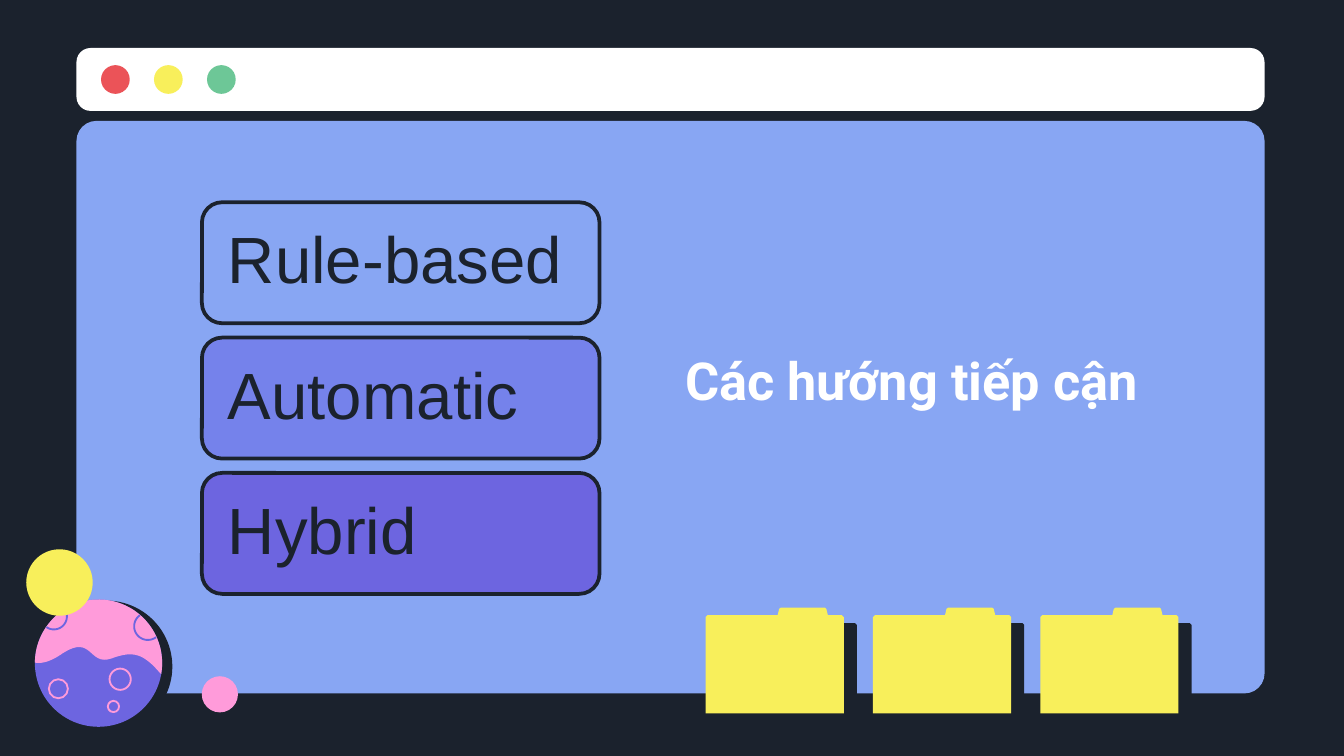
from dataclasses import dataclass
from math import cos, radians, sin

from lxml.etree import SubElement
from pptx import Presentation
from pptx.dml.color import RGBColor
from pptx.enum.shapes import MSO_SHAPE
from pptx.enum.text import MSO_ANCHOR, PP_ALIGN
from pptx.oxml.ns import qn
from pptx.util import Pt


@dataclass(frozen=True)
class Theme:
    dark: str = "1B222D"
    white: str = "FFFFFF"
    blue: str = "88A6F3"
    iris: str = "7582EB"
    purple: str = "6D65E0"
    pink: str = "FF9BDA"
    yellow: str = "F8EF5B"
    red: str = "EB5358"
    green: str = "6DC797"
    title: int = 28
    label: int = 35


THEME = Theme()


def color(code):
    return RGBColor.from_string(code)


def assign(item, values):
    for name, value in values.items():
        setattr(item, name, value)


def paint(shape, fill=None, line=None, width=1):
    shape.shadow.inherit = False
    if fill:
        shape.fill.solid()
        shape.fill.fore_color.rgb = color(fill)
    else:
        shape.fill.background()
    if line:
        shape.line.color.rgb = color(line)
        shape.line.width = Pt(width)
    else:
        shape.line.fill.background()
    return shape


def add_panel(slide, box, round_by, fill, line=None, width=1):
    """Add a rounded rectangle; round_by is its corner ratio."""
    shape = slide.shapes.add_shape(MSO_SHAPE.ROUNDED_RECTANGLE, *map(Pt, box))
    shape.adjustments[0] = round_by
    return paint(shape, fill, line, width)


def add_disc(slide, x, y, radius, fill=None, line=None):
    """Add a circle centred on x, y."""
    box = (x - radius, y - radius, 2 * radius, 2 * radius)
    return paint(slide.shapes.add_shape(MSO_SHAPE.OVAL, *map(Pt, box)), fill, line)


def add_path(slide, points, fill=None, line=None, close=True):
    first, *rest = [(Pt(x), Pt(y)) for x, y in points]
    pen = slide.shapes.build_freeform(*first)
    pen.add_line_segments(rest, close=close)
    return paint(pen.convert_to_shape(), fill, line)


def arc(x, y, radius, start, end, steps=40):
    """Points on a circle, with angles clockwise from the right."""
    turns = [radians(start + (end - start) * i / steps) for i in range(steps + 1)]
    return [(x + radius * cos(t), y + radius * sin(t)) for t in turns]


def curve(nodes, steps=16):
    """Points on a chain of cubic curves that share their end nodes."""
    points = []
    for i in range(0, len(nodes) - 1, 3):
        for step in range(1, steps + 1):
            t = step / steps
            parts = ((1 - t) ** 3, 3 * t * (1 - t) ** 2, 3 * t * t * (1 - t), t ** 3)
            points.append(tuple(
                sum(p * node[axis] for p, node in zip(parts, nodes[i:i + 4]))
                for axis in (0, 1)))
    return points


def add_shade(shape, code, reach, angle):
    """Give the shape a hard shadow."""
    effects = shape._element.spPr.find(qn("a:effectLst"))
    shade = SubElement(effects, qn("a:outerShdw"), blurRad="0", dist=str(Pt(reach)),
                       dir=str(angle * 60000), algn="bl", rotWithShape="0")
    SubElement(shade, qn("a:srgbClr"), val=code)


def write(shape, text, inset, anchor, para, font, ink):
    frame = shape.text_frame
    sides = ("left", "right", "top", "bottom")
    assign(frame, {f"margin_{side}": Pt(inset) for side in sides})
    assign(frame, {"word_wrap": True, "vertical_anchor": anchor})
    line = frame.paragraphs[0]
    line.text = text
    assign(line, {"alignment": PP_ALIGN.LEFT, **para})
    assign(line.font, font)
    line.font.color.rgb = color(ink)


def add_window(slide):
    add_panel(slide, (41, 64.8, 636.5, 306.7), 0.035, THEME.blue)
    add_panel(slide, (41, 25.7, 636.5, 33.7), 0.223, THEME.white)
    for i, fill in enumerate((THEME.red, THEME.yellow, THEME.green)):
        add_disc(slide, 61.8 + 28.4 * i, 42.6, 7.7, fill)


def add_folder(slide, left, top):
    shape = [(0, 56.6), (0, 5), (1, 4), (38.6, 4), (39.4, 0.6), (40.2, 0),
             (64, 0), (64.7, 0.6), (65.5, 4), (73, 4), (74, 5), (74, 56.6)]
    points = [(left + x, top + y) for x, y in shape]
    add_shade(add_path(slide, points, THEME.yellow), THEME.dark, 8.2, 31)


def add_planet(slide):
    x, y, radius = 52.8, 355.3, 34.1
    add_disc(slide, 57, 357.1, 35.3, THEME.dark)
    add_disc(slide, x, y, radius, THEME.purple)
    wave = [(86.4, 361.4), (77, 350), (71.3, 348.5), (59.8, 352.8),
            (47.5, 357.1), (49.7, 339.8), (33.8, 349.9),
            (26.6, 355), (21.6, 355.7), (18.7, 355)]
    add_path(slide, arc(x, y, radius, 181, 370) + curve(wave), THEME.pink)
    for ring in ((31.3, 369, 5.1), (64.4, 363.9, 5.7), (60.8, 378.5, 3)):
        add_disc(slide, *ring, line=THEME.pink)
    for bend in ((28.9, 330.2, 7, 125, -34), (79.2, 335.6, 7.3, 235, 53)):
        add_path(slide, arc(*bend), line=THEME.purple, close=False)


def add_card(slide, top, text, fill):
    card = add_panel(slide, (108.2, top, 213, 64.8), 0.167, fill, THEME.dark, 2)
    write(card, text, 10.8, MSO_ANCHOR.MIDDLE, {"line_spacing": 0.9},
          {"name": "Arial", "size": Pt(THEME.label)}, THEME.dark)


def add_title(slide, text):
    box = slide.shapes.add_textbox(*map(Pt, (360, 112.3, 271.4, 115.2)))
    write(box, text, 7.2, MSO_ANCHOR.BOTTOM, {},
          {"name": "Roboto", "size": Pt(THEME.title), "bold": True}, THEME.white)


def main():
    deck = Presentation()
    assign(deck, {"slide_width": Pt(720), "slide_height": Pt(405)})
    slide = deck.slides.add_slide(deck.slide_layouts[6])
    slide.background.fill.solid()
    slide.background.fill.fore_color.rgb = color(THEME.dark)

    add_window(slide)
    for i in range(3):
        add_folder(slide, 378 + 89.65 * i, 325.6)
    add_planet(slide)
    add_disc(slide, 31.9, 312.1, 17.8, THEME.yellow)
    add_disc(slide, 117.8, 372, 9.7, THEME.pink)
    add_title(slide, "Các hướng tiếp cận")
    cards = (("Rule-based", THEME.blue), ("Automatic", THEME.iris),
             ("Hybrid", THEME.purple))
    for i, (text, fill) in enumerate(cards):
        add_card(slide, 108.4 + 72.5 * i, text, fill)
    deck.save("out.pptx")


if __name__ == "__main__":
    main()
